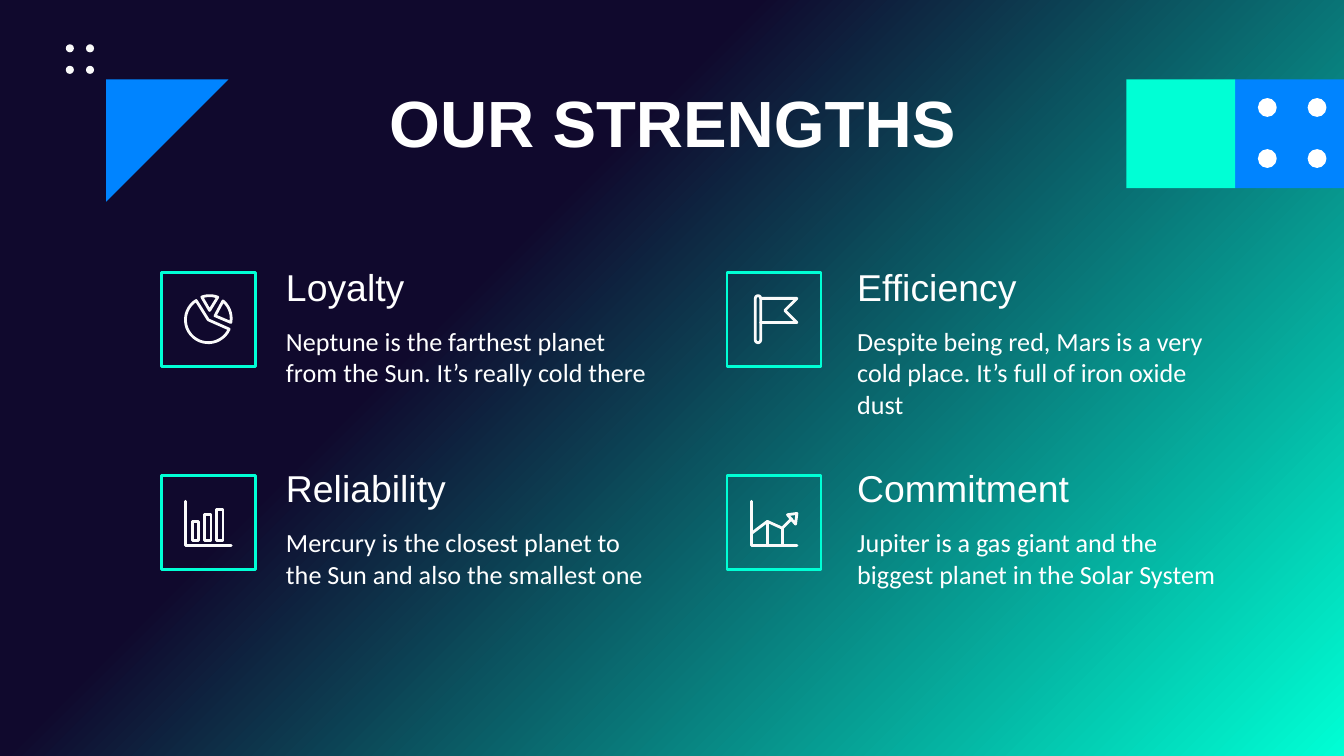
"""Build the "Our strengths" slide with four icon and text blocks."""
from math import cos, radians, sin

from lxml.etree import SubElement
from pptx import Presentation
from pptx.dml.color import RGBColor
from pptx.enum.shapes import MSO_SHAPE as Shape
from pptx.enum.text import MSO_ANCHOR as Anchor, MSO_AUTO_SIZE as AutoSize, PP_ALIGN as Align
from pptx.oxml.ns import qn
from pptx.util import Inches, Pt

NAVY = RGBColor(0x10, 0x09, 0x2D)
TEAL = RGBColor(0x00, 0xFF, 0xD5)
BLUE = RGBColor(0x00, 0x84, 0xFF)
WHITE = RGBColor(0xFF, 0xFF, 0xFF)
OFF_WHITE = RGBColor(0xFA, 0xFA, 0xFA)

ICON_LEFTS = (1.2, 5.41)
TEXT_LEFTS = (2.03, 6.28)
ICON_TOP, ICON_STEP = 2.03, 1.51
TEXT_TOP, TEXT_STEP = 1.84, 1.5

STRENGTHS = [
    [("Loyalty", "Neptune is the farthest planet from the Sun. It’s really cold there"),
     ("Efficiency", "Despite being red, Mars is a very cold place. It’s full of iron oxide dust")],
    [("Reliability", "Mercury is the closest planet to the Sun and also the smallest one"),
     ("Commitment", "Jupiter is a gas giant and the biggest planet in the Solar System")],
]


def set_background(slide):
    fill = slide.background.fill
    fill.gradient()
    fill.gradient_angle = 315
    for stop, position, color in zip(fill.gradient_stops, (0.36, 1), (NAVY, TEAL)):
        stop.position = position
        stop.color.rgb = color


def add_filled(slide, kind, left, top, width, height, color):
    shape = slide.shapes.add_shape(kind, Inches(left), Inches(top), Inches(width), Inches(height))
    shape.shadow.inherit = False
    shape.fill.solid()
    shape.fill.fore_color.rgb = color
    shape.line.fill.background()
    return shape


def add_outlined(slide, kind, left, top, width, height, color):
    shape = add_filled(slide, kind, left, top, width, height, color)
    shape.fill.background()
    shape.line.color.rgb = color
    shape.line.width = Pt(1.5)
    return shape


def add_dots(slide, lefts, tops, size, color):
    for left in lefts:
        for top in tops:
            add_filled(slide, Shape.OVAL, left, top, size, size, color)


def add_stroke(slide, points, close=False):
    start, *others = [(Inches(x), Inches(y)) for x, y in points]
    builder = slide.shapes.build_freeform(*start)
    builder.add_line_segments(others, close=close)
    shape = builder.convert_to_shape()
    shape.shadow.inherit = False
    shape.fill.background()
    shape.line.color.rgb = OFF_WHITE
    shape.line.width = Pt(1.5)
    line = shape.element.spPr.find(qn("a:ln"))
    line.set("cap", "rnd")
    SubElement(line, qn("a:round"))


def add_wedge(slide, apex, center, radius, start, end):
    steps = 24
    angles = [radians(start + (end - start) * step / steps) for step in range(steps + 1)]
    arc = [(center[0] + radius * cos(angle), center[1] + radius * sin(angle)) for angle in angles]
    add_stroke(slide, [apex, *arc], close=True)


def add_axes(slide, left, top):
    add_stroke(slide, [(left, top), (left, top + 0.33), (left + 0.34, top + 0.33)])


def add_pie_icon(slide):
    add_wedge(slide, (1.55, 2.38), (1.55, 2.38), 0.17, 24, 238)
    add_wedge(slide, (1.6, 2.35), (1.55, 2.37), 0.17, -50, 10)
    add_wedge(slide, (1.56, 2.31), (1.56, 2.37), 0.17, -110, -69)


def add_flag_icon(slide):
    pole = add_outlined(slide, Shape.ROUNDED_RECTANGLE, 5.62, 2.2, 0.04, 0.35, OFF_WHITE)
    pole.adjustments[0] = 0.5
    add_stroke(slide, [(5.66, 2.22), (5.93, 2.22), (5.84, 2.31), (5.93, 2.4), (5.66, 2.4)])


def add_bars_icon(slide):
    add_axes(slide, 1.38, 3.73)
    for index, top in enumerate((3.88, 3.83, 3.79)):
        left = 1.43 + index * 0.09
        add_stroke(slide, [(left, top), (left + 0.05, top), (left + 0.05, 4.02), (left, 4.02)],
                   close=True)


def add_growth_icon(slide):
    add_axes(slide, 5.59, 3.73)
    add_stroke(slide, [(5.59, 3.97), (5.71, 3.88), (5.82, 3.93), (5.89, 3.86)])
    add_stroke(slide, [(5.71, 3.88), (5.71, 4.06)])
    add_stroke(slide, [(5.82, 3.93), (5.82, 4.06)])
    add_stroke(slide, [(5.93, 3.82), (5.92, 3.9), (5.86, 3.83)], close=True)


def format_text(shape, text, size, font_name, anchor, align=Align.LEFT, bold=False):
    frame = shape.text_frame
    frame.text = text
    frame.word_wrap = True
    frame.auto_size = AutoSize.NONE
    frame.vertical_anchor = anchor
    frame.margin_left = frame.margin_right = Inches(0.1)
    frame.margin_top = frame.margin_bottom = Inches(0.1)
    paragraph = frame.paragraphs[0]
    paragraph.alignment = align
    font = paragraph.runs[0].font
    font.name, font.size, font.bold = font_name, Pt(size), bold
    font.color.rgb = WHITE


def add_text(slide, left, top, width, height, *style):
    box = slide.shapes.add_textbox(Inches(left), Inches(top), Inches(width), Inches(height))
    format_text(box, *style)


def set_title(slide, text):
    title = slide.shapes.title
    title.left, title.top = Inches(0.79), Inches(0.59)
    title.width, title.height = Inches(8.43), Inches(0.63)
    format_text(title, text, 35, "Arial", Anchor.MIDDLE, Align.CENTER, True)


def add_decoration(slide):
    add_filled(slide, Shape.RECTANGLE, 9.19, 0.59, 0.81, 0.81, BLUE)
    add_filled(slide, Shape.RECTANGLE, 8.38, 0.59, 0.81, 0.81, TEAL)
    add_dots(slide, (9.36, 9.73), (0.73, 1.11), 0.14, WHITE)
    triangle = add_filled(slide, Shape.RIGHT_TRIANGLE, 0.79, 0.59, 0.91, 0.91, BLUE)
    triangle.rotation = 90
    add_dots(slide, (0.49, 0.64), (0.33, 0.49), 0.06, OFF_WHITE)


def add_strengths(slide):
    for row, strengths in enumerate(STRENGTHS):
        top = TEXT_TOP + row * TEXT_STEP
        for (heading, description), left, icon_left in zip(strengths, TEXT_LEFTS, ICON_LEFTS):
            add_text(slide, left, top, 2.94, 0.58, heading, 20, "Arial", Anchor.MIDDLE)
            add_text(slide, left, top + 0.48, 2.94, 0.85, description, 14, "Calibri", Anchor.TOP)
            add_outlined(slide, Shape.RECTANGLE, icon_left, ICON_TOP + row * ICON_STEP,
                         0.7, 0.7, TEAL)


def main():
    presentation = Presentation()
    presentation.slide_width = Inches(10)
    presentation.slide_height = Inches(10) * 9 // 16
    slide = presentation.slides.add_slide(presentation.slide_layouts[5])
    set_background(slide)
    add_decoration(slide)
    set_title(slide, "OUR STRENGTHS")
    add_strengths(slide)
    for add_icon in (add_pie_icon, add_flag_icon, add_bars_icon, add_growth_icon):
        add_icon(slide)
    presentation.save("out.pptx")


if __name__ == "__main__":
    main()
